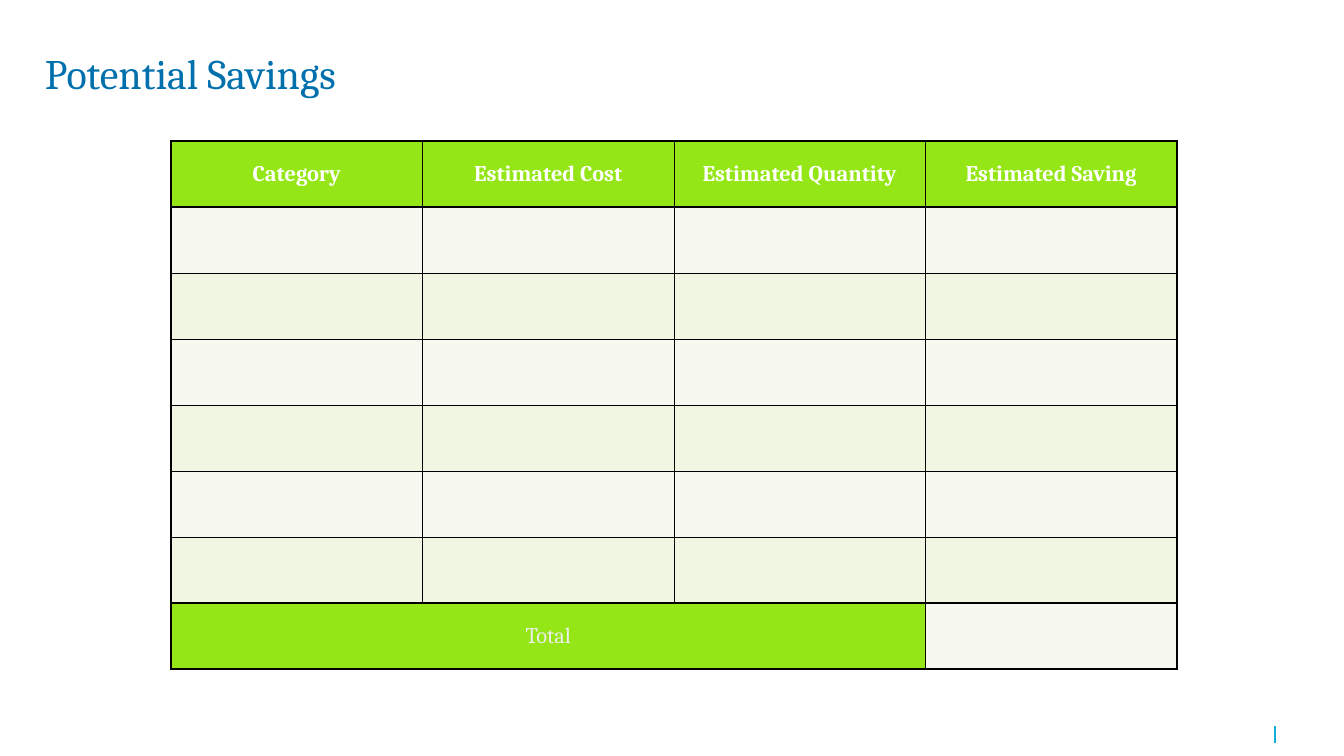
import pptx
import pptx.util
import pptx.dml.color
import pptx.enum.shapes
import pptx.enum.text
import pptx.oxml
import pptx.oxml.ns

TITLE = "Potential Savings"
HEADERS = ["Category", "Estimated Cost", "Estimated Quantity", "Estimated Saving"]
TOTAL = "Total"
BLANK_ROWS = 6
FONT = "Cambria"
COLORS = {
    "title": "0070AD", "accent": "95E616", "light": "F7F9F1", "band": "F0F6E2",
    "header": "FEFFFE", "total": "EDEDED", "border": "000000", "footer": "12ABDB",
}
SLIDE_SIZE = (1344, 756)
TITLE_BOX = (45, 44, 1215, 57)
TABLE_BOX = (171, 141, 1006, 528)
FOOTER_LINE = (1275, 743, 1275, 726)
COLUMN_EDGES = [1, 0.5, 0.5, 1, 1]
ROW_EDGES = [1, 1] + [0.5] * (BLANK_ROWS - 1) + [1, 1]


def px(value):
    return pptx.util.Emu(round(value * 914400 / 100.8))


def color(name):
    return pptx.dml.color.RGBColor.from_string(COLORS[name])


def set_attributes(target, values):
    for name, value in values.items():
        setattr(target, name, value)


def write(frame, text, size, color_name, bold=False, align=None):
    paragraph = frame.paragraphs[0]
    paragraph.alignment = align
    run = paragraph.add_run()
    run.text = text
    set_attributes(run.font, {"name": FONT, "size": pptx.util.Pt(size), "bold": bold})
    run.font.color.rgb = color(color_name)


def set_borders(cell, widths):
    properties = cell._tc.get_or_add_tcPr()
    for index, (side, width) in enumerate(widths.items()):
        border = pptx.oxml.parse_xml(
            f'<a:{side} {pptx.oxml.ns.nsdecls("a")} w="{pptx.util.Pt(width)}"><a:solidFill>'
            f'<a:srgbClr val="{COLORS["border"]}"/></a:solidFill></a:{side}>')
        properties.insert(index, border)


def add_footer_line(slide):
    line = slide.shapes.add_connector(
        pptx.enum.shapes.MSO_CONNECTOR.STRAIGHT, *map(px, FOOTER_LINE))
    line.line.color.rgb = color("footer")
    line.line.width = pptx.util.Pt(1)
    line._element.spPr.append(
        pptx.oxml.parse_xml(f'<a:effectLst {pptx.oxml.ns.nsdecls("a")}/>'))


def add_title(slide):
    frame = slide.shapes.add_textbox(*map(px, TITLE_BOX)).text_frame
    set_attributes(frame, {
        "word_wrap": True, "margin_left": 0, "margin_right": 0,
        "margin_top": 0, "margin_bottom": 0,
        "vertical_anchor": pptx.enum.text.MSO_ANCHOR.MIDDLE})
    write(frame, TITLE, 30, "title")


def add_savings_table(slide):
    row_count, column_count = BLANK_ROWS + 2, len(HEADERS)
    last_row, last_column = row_count - 1, column_count - 1
    table = slide.shapes.add_table(row_count, column_count, *map(px, TABLE_BOX)).table
    for column in table.columns:
        column.width = px(TABLE_BOX[2] / column_count)
    for row in table.rows:
        row.height = px(TABLE_BOX[3] / row_count)
    table.cell(last_row, 0).merge(table.cell(last_row, last_column - 1))

    for r in range(row_count):
        for c in range(column_count):
            cell = table.cell(r, c)
            is_total = r == last_row and c < last_column
            fill = "accent" if r == 0 or is_total else "light" if r % 2 else "band"
            cell.fill.solid()
            cell.fill.fore_color.rgb = color(fill)
            cell.vertical_anchor = pptx.enum.text.MSO_ANCHOR.MIDDLE
            right = last_column if is_total else c + 1
            set_borders(cell, {
                "lnL": COLUMN_EDGES[c], "lnR": COLUMN_EDGES[right],
                "lnT": ROW_EDGES[r], "lnB": ROW_EDGES[r + 1]})

    center = pptx.enum.text.PP_ALIGN.CENTER
    for c, header in enumerate(HEADERS):
        write(table.cell(0, c).text_frame, header, 16, "header", True, center)
    write(table.cell(last_row, 0).text_frame, TOTAL, 16, "total", False, center)


def main():
    presentation = pptx.Presentation()
    presentation.slide_width, presentation.slide_height = map(px, SLIDE_SIZE)
    slide = presentation.slides.add_slide(presentation.slide_layouts[6])
    add_footer_line(slide)
    add_title(slide)
    add_savings_table(slide)
    presentation.save("out.pptx")


if __name__ == "__main__":
    main()
